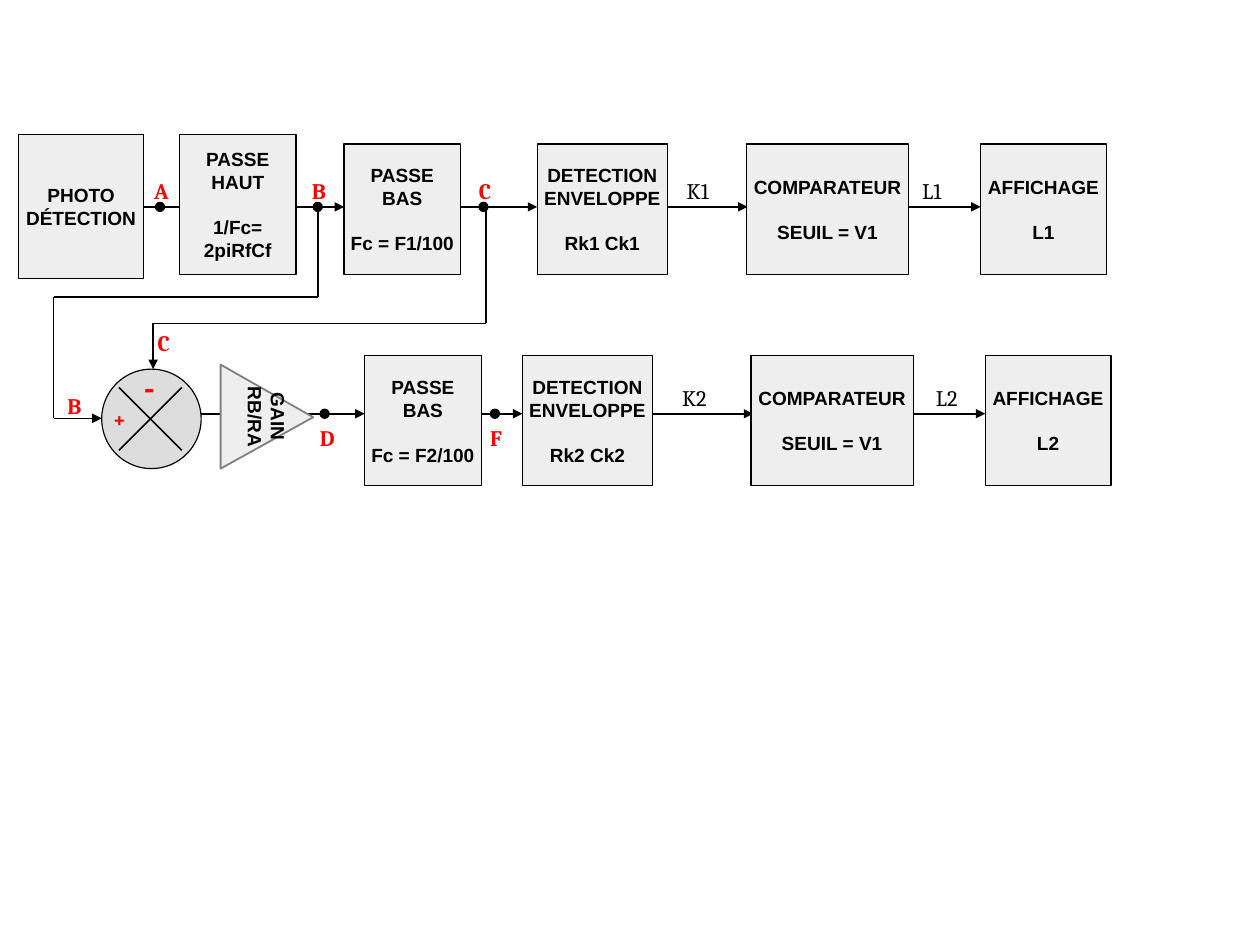
from itertools import pairwise
from pptx import Presentation
from pptx.dml.color import RGBColor
from pptx.enum.shapes import MSO_CONNECTOR, MSO_SHAPE
from pptx.enum.text import MSO_ANCHOR, PP_ALIGN
from pptx.oxml.ns import qn
from pptx.util import Cm, Inches, Pt
from lxml.etree import SubElement

# Content: blocks as left, top, width, height, heading, detail
TOP, LOW = 1.26, 3.11
BLOCKS = [
    (0.16, 1.18, 1.1, 1.26, ["PHOTO\nDÉTECTION"], []),
    (1.57, 1.18, 1.02, 1.22, ["PASSE\nHAUT"], ["1/Fc=", "2piRfCf"]),
    (3.01, TOP, 1.02, 1.14, ["PASSE\nBAS"], ["Fc = F1/100"]),
    (4.7, TOP, 1.14, 1.14, ["DETECTION", "ENVELOPPE"], ["Rk1 Ck1"]),
    (6.53, TOP, 1.42, 1.14, ["COMPARATEUR"], ["SEUIL = V1"]),
    (8.58, TOP, 1.1, 1.14, ["AFFICHAGE"], ["L1"]),
    (3.19, LOW, 1.02, 1.14, ["PASSE\nBAS"], ["Fc = F2/100"]),
    (4.57, LOW, 1.14, 1.14, ["DETECTION", "ENVELOPPE"], ["Rk2 Ck2"]),
    (6.57, LOW, 1.42, 1.14, ["COMPARATEUR"], ["SEUIL = V1"]),
    (8.62, LOW, 1.1, 1.14, ["AFFICHAGE"], ["L2"]),
]

# Wires run through their points and end in an arrow
UP, DOWN = 1.81, 3.62
STRAIGHT = [
    (UP, [(1.26, 3.01), (4.03, 4.7), (5.35, 6.54), (7.95, 8.58)]),
    (DOWN, [(1.44, 3.19), (4.2, 4.57), (4.86, 6.59), (7.99, 8.62)]),
]
WIRES = [[(x1, y), (x2, y)] for y, spans in STRAIGHT for x1, x2 in spans]
WIRES += [
    [(2.78, UP), (2.78, 2.6), (0.47, 2.6), (0.47, 3.66), (0.89, 3.66)],
    [(4.25, UP), (4.25, 2.83), (1.34, 2.83), (1.34, 3.23)],
]
CROSS = [[(1.59, 3.39), (1.04, 3.94)], [(1.04, 3.39), (1.59, 3.94)]]
DOTS = [(1.36, 1.77), (2.74, 1.77), (4.19, 1.77), (2.8, 3.58), (4.29, 3.58)]

# Labels as text, left, top
RED, BLACK, GREY = "FF0000", "000000", "EEEEEE"
NODES = [
    ("A", 1.25, 1.5), ("B", 2.63, 1.5), ("C", 4.09, 1.5),
    ("D", 2.7, 3.66), ("F", 4.19, 3.66), ("B", 0.49, 3.38),
    ("C", 1.28, 2.83), ("+", 0.89, 3.5), ("-", 1.16, 3.15),
]
SIGNALS = [("K1", 5.91, 1.5), ("L1", 7.97, 1.5),
           ("K2", 5.87, 3.31), ("L2", 8.09, 3.31)]

BOLD = {"name": "Arial", "size": Pt(12), "bold": True}
NODE = {"name": "Cambria", "size": Pt(14), "bold": True}
MINUS = {**NODE, "size": Pt(22)}
SIGNAL = {**NODE, "bold": False}
INSET = {"margin_left": Inches(0.1), "margin_right": Inches(0.1),
         "margin_top": Inches(0.05), "margin_bottom": Inches(0.05)}

deck = Presentation()
deck.slide_width, deck.slide_height = Cm(28), Cm(21)
slide = deck.slides.add_slide(deck.slide_layouts[6])
shapes = slide.shapes


def paint(part, color):
    part.rgb = RGBColor.from_string(color)


def apply(target, form):
    for key, value in form.items():
        setattr(target, key, value)


def style(shape, fill, edge=BLACK, width=0):
    shape.shadow.inherit = False
    shape.fill.solid()
    paint(shape.fill.fore_color, fill)
    paint(shape.line.color, edge)
    shape.line.width = Pt(width)
    return shape


def draw(kind, *box):
    return shapes.add_shape(kind, *map(Inches, box))


def write(shape, head, font, color, detail=(), block=False):
    frame = shape.text_frame
    anchor = MSO_ANCHOR.MIDDLE if block else MSO_ANCHOR.TOP
    apply(frame, {**INSET, "word_wrap": not block, "vertical_anchor": anchor})
    for i, text in enumerate([*head, *detail]):
        para = frame.add_paragraph() if i else frame.paragraphs[0]
        para.text = text
        para.alignment = PP_ALIGN.CENTER if block else PP_ALIGN.LEFT
        if i == len(head):
            para.space_before = Pt(14)
        for run in para.runs:
            apply(run.font, font)
            paint(run.font.color, color)


def join(points, arrow):
    for start, end in pairwise(points):
        line = shapes.add_connector(MSO_CONNECTOR.STRAIGHT,
                                    *map(Inches, start + end))
        paint(line.line.color, BLACK)
        line.line.width = Pt(1)
        props = line._element.spPr
        if arrow and end == points[-1]:
            SubElement(props.find(qn("a:ln")), qn("a:tailEnd"), type="triangle")
        SubElement(props, qn("a:effectLst"))


# Wires lie behind the blocks
for wire in WIRES:
    join(wire, True)

# Blocks
for *box, head, detail in BLOCKS:
    block = style(draw(MSO_SHAPE.RECTANGLE, *box), GREY)
    write(block, head, BOLD, BLACK, detail, True)

# Mixer
style(draw(MSO_SHAPE.OVAL, 0.89, 3.23, 0.87, 0.87), "DDDDDD")
for stroke in CROSS:
    join(stroke, False)

# Amplifier: an upright triangle turned to the right
pen = shapes.build_freeform(Inches(2.34), Inches(3.24))
pen.add_line_segments([(Inches(x), Inches(4.05)) for x in (2.79, 1.88)])
gain = style(pen.convert_to_shape(), GREY, "808080", 1.13)
gain.rotation = 90
write(gain, ["GAIN\nRB/RA"], BOLD, BLACK, block=True)

# Measuring points
for x, y in DOTS:
    style(draw(MSO_SHAPE.OVAL, x, y, 0.08, 0.08), BLACK)

# Labels
for labels, font, color in ((NODES, NODE, RED), (SIGNALS, SIGNAL, BLACK)):
    for text, x, y in labels:
        box = shapes.add_textbox(*map(Inches, (x, y, 0.61, 0.47)))
        write(box, [text], MINUS if text == "-" else font, color)

deck.save("out.pptx")
